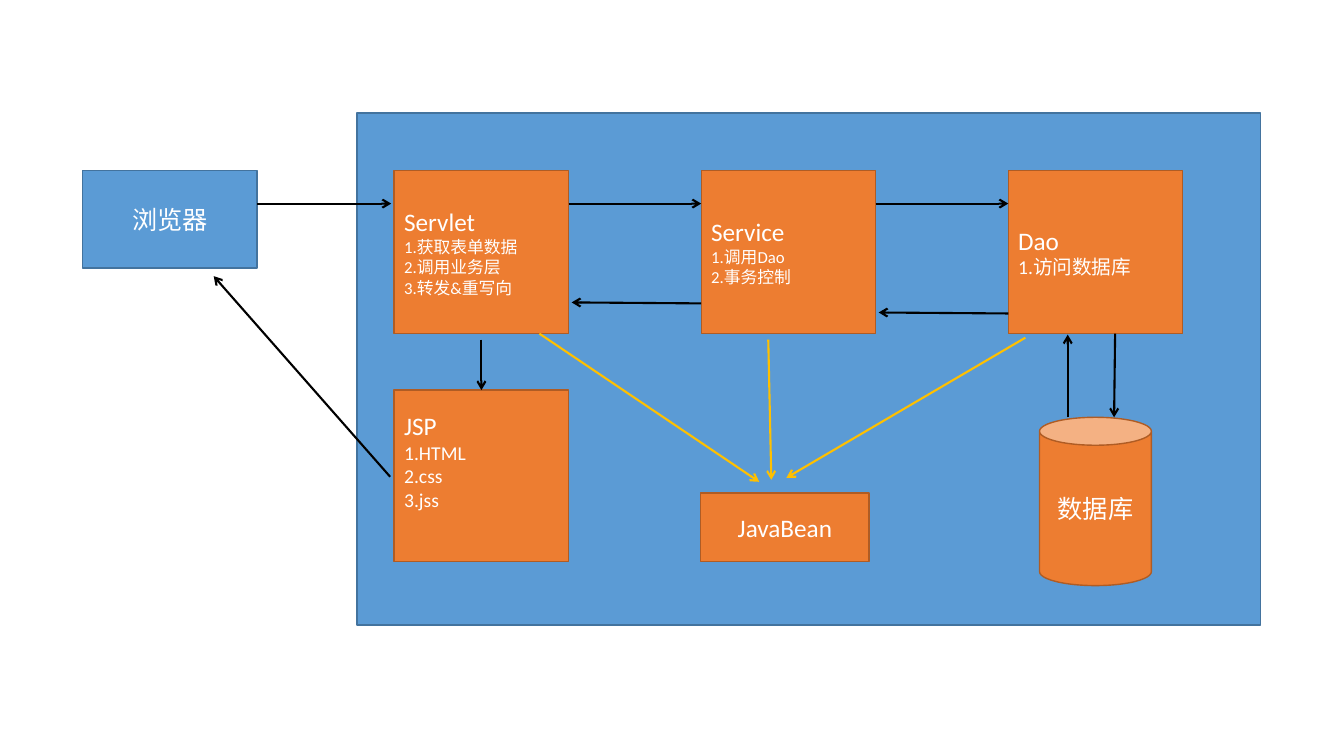
import pptx
import pptx.dml.color
import pptx.enum.shapes
import pptx.enum.text
import pptx.oxml
import pptx.util
from pptx.util import Inches

COLORS = {
    "blue": "5B9BD5",
    "blue edge": "43739E",
    "orange": "ED7D31",
    "orange edge": "AF5C24",
    "text": "FFFFFF",
    "flow": "000000",
    "bean": "FFC000",
}
SHAPES = pptx.enum.shapes.MSO_SHAPE
ALIGN = pptx.enum.text.PP_ALIGN
LAYERS = [
    ("Servlet", ["1.获取表单数据", "2.调用业务层", "3.转发&重写向"], 12),
    ("Service", ["1.调用Dao", "2.事务控制"], 12),
    ("Dao", ["1.访问数据库"], 14),
]
LAYER_STEP = 3.045
LAYER_WIDTH = 1.73


def rgb(name):
    """Return the palette colour of that name."""
    return pptx.dml.color.RGBColor.from_string(COLORS[name])


def add_box(page, box, color, title="", items=(), item_size=12, kind=SHAPES.RECTANGLE):
    """Draw a filled shape with a title and an optional list under it."""
    shape = page.shapes.add_shape(kind, *map(Inches, box))
    shape.shadow.inherit = False
    shape.fill.solid()
    shape.fill.fore_color.rgb = rgb(color)
    shape.line.color.rgb = rgb(color + " edge")
    shape.line.width = pptx.util.Pt(1)
    if not title:
        return shape
    frame = shape.text_frame
    frame.word_wrap = True
    frame.vertical_anchor = pptx.enum.text.MSO_ANCHOR.MIDDLE
    for index, text in enumerate([title, *items]):
        para = frame.add_paragraph() if index else frame.paragraphs[0]
        para.text = text
        para.alignment = ALIGN.LEFT if items else ALIGN.CENTER
        para.font.name = "Calibri"
        para.font.size = pptx.util.Pt(item_size if index else 18)
        para.font.color.rgb = rgb("text")
    return shape


def add_arrow(page, start, end, color="flow"):
    """Draw a straight line with an open arrowhead at its end."""
    arrow = page.shapes.add_connector(
        pptx.enum.shapes.MSO_CONNECTOR.STRAIGHT, *map(Inches, (*start, *end))
    )
    arrow.line.color.rgb = rgb(color)
    arrow.line.width = pptx.util.Pt(1.5)
    head = pptx.oxml.parse_xml(
        '<a:tailEnd xmlns:a="http://schemas.openxmlformats.org/drawingml/2006/main" type="arrow"/>'
    )
    arrow.line._get_or_add_ln().append(head)
    arrow._element.spPr.append(pptx.oxml.parse_xml(
        '<a:effectLst xmlns:a="http://schemas.openxmlformats.org/drawingml/2006/main"/>'
    ))
    return arrow


def add_layers(page, left, top):
    """Place the three layers in a row with calls and returns between them."""
    for index, (title, items, size) in enumerate(LAYERS):
        x = left + index * LAYER_STEP
        add_box(page, (x, top, LAYER_WIDTH, 1.62), "orange", title, items, size)
        if index:
            previous = x - LAYER_STEP + LAYER_WIDTH
            back = top + 1.22 + index * 0.1
            add_arrow(page, (previous, top + 0.33), (x, top + 0.33))
            add_arrow(page, (x, back), (previous + 0.03, back - 0.01))


def add_view(page, left, top):
    """Place the JSP box and the arrow that comes down to it."""
    view = add_box(page, (left, top, LAYER_WIDTH, 1.7), "orange",
                   "JSP", ["1.HTML", "2.css", "3.jss"], 14)
    view.text_frame.margin_bottom = Inches(0.35)
    middle = left + LAYER_WIDTH / 2
    arrow = add_arrow(page, (middle, top - 0.5), (middle, top))
    arrow.end_connect(view, 0)


def add_bean(page, left, top):
    """Place the JavaBean box and the arrows of the layers that use it."""
    add_box(page, (left, top, 1.67, 0.68), "orange", "JavaBean")
    uses = [((-1.6, -1.58), (0.58, -0.11)),
            ((0.67, -1.52), (0.7, -0.13)),
            ((3.22, -1.54), (0.85, -0.15))]
    for start, end in uses:
        add_arrow(page, (left + start[0], top + start[1]),
                  (left + end[0], top + end[1]), "bean")


def add_database(page, left, top):
    """Place the database and its arrows from and to the Dao layer."""
    add_box(page, (left, top, 1.11, 1.67), "orange", "数据库", kind=SHAPES.CAN)
    add_arrow(page, (left + 0.75, top - 0.83), (left + 0.74, top))
    add_arrow(page, (left + 0.28, top), (left + 0.28, top - 0.82))


def add_server(page, left, top):
    """Draw the server panel and all of its parts."""
    add_box(page, (left, top, 8.96, 5.08), "blue")
    add_layers(page, left + 0.37, top + 0.57)
    add_view(page, left + 0.37, top + 2.75)
    add_bean(page, left + 3.41, top + 3.77)
    add_database(page, left + 6.77, top + 3.02)


def add_browser(page, left, top):
    """Draw the browser with its request and the response to it."""
    add_box(page, (left, top, 1.73, 0.97), "blue", "浏览器")
    add_arrow(page, (left + 1.73, top + 0.33), (left + 3.06, top + 0.33))
    add_arrow(page, (left + 3.05, top + 3.04), (left + 1.3, top + 1.05))


def main():
    """Build the deck and save it."""
    deck = pptx.Presentation()
    deck.slide_width = Inches(13.33)
    deck.slide_height = Inches(7.5)
    page = deck.slides.add_slide(deck.slide_layouts[6])
    add_server(page, 3.54, 1.12)
    add_browser(page, 0.82, 1.69)
    deck.save("out.pptx")


if __name__ == "__main__":
    main()
